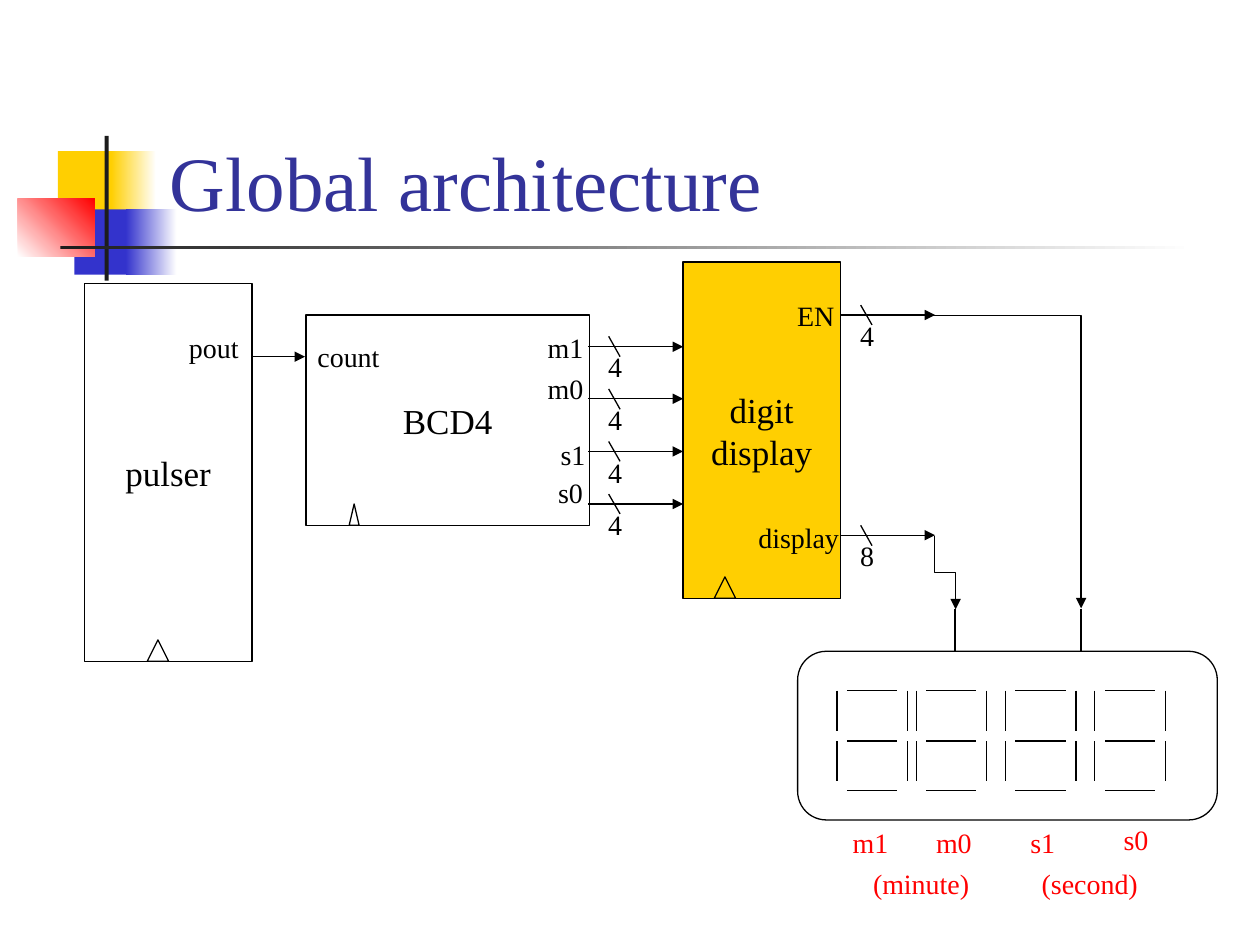
from lxml.etree import SubElement
from pptx import Presentation
from pptx.dml.color import RGBColor
from pptx.enum.shapes import MSO_CONNECTOR, MSO_SHAPE
from pptx.enum.text import MSO_ANCHOR, MSO_AUTO_SIZE, PP_ALIGN
from pptx.oxml.ns import qn
from pptx.util import Cm, Pt

BLACK = RGBColor(0x00, 0x00, 0x00)
WHITE = RGBColor(0xFF, 0xFF, 0xFF)
GOLD = RGBColor(0xFF, 0xCF, 0x01)
BLUE = RGBColor(0x33, 0x33, 0xCC)
NAVY = RGBColor(0x33, 0x33, 0x99)
RED = RGBColor(0xFF, 0x00, 0x00)
DARK = RGBColor(0x1C, 0x1C, 0x1C)
FONT = "Times New Roman"

# Content: places are in inches, turned into Cm by cm()
TITLE = "Global architecture"
DECOR = [  # box, first colour, last colour, angle
    ((0.46, 1.2, 0.48, 0.52), GOLD, None, 0),
    ((0.88, 1.2, 0.36, 0.52), GOLD, WHITE, 0),
    ((0.59, 1.66, 0.46, 0.52), BLUE, None, 0),
    ((1, 1.66, 0.4, 0.52), BLUE, WHITE, 0),
    ((0.14, 1.58, 0.61, 0.46), WHITE, RED, 45),
    ((0.83, 1.08, 0.03, 1.15), DARK, None, 0),
    ((0.48, 1.95, 9, 0.03), DARK, WHITE, 0),
]
BLOCKS = [  # name, box, fill, clock mark
    ("pulser", (0.67, 2.25, 1.33, 3), None, (1.17, 5.08, 0.17, 0.17)),
    ("BCD4", (2.43, 2.5, 2.25, 1.67), None, (2.77, 4, 0.08, 0.17)),
    ("digit\ndisplay", (5.42, 2.08, 1.25, 2.67), GOLD,
     (5.67, 4.58, 0.17, 0.17)),
]
PORTS = [  # name, left, top, width
    ("pout", 1.4, 2.57, 0.6), ("count", 2.42, 2.65, 0.7),
    ("m1", 4.25, 2.57, 0.49), ("m0", 4.25, 2.9, 0.49),
    ("s1", 4.35, 3.42, 0.4), ("s0", 4.33, 3.73, 0.4),
    ("EN", 6.23, 2.32, 0.5), ("display", 5.92, 4.08, 0.85),
]
NOTES = [
    ("s0", 8.82, 6.48, 0.4), ("s1", 8.08, 6.5, 0.4),
    ("m0", 7.33, 6.5, 0.49), ("m1", 6.67, 6.5, 0.49),
    ("(second)", 8.17, 6.83, 0.97), ("(minute)", 6.83, 6.83, 0.97),
]
BUSES = [("4", 6.67, 2.5), ("8", 6.67, 4.25)]  # bits, left, height
BUSES += [("4", 4.67, 2.75 + row * 5 / 12) for row in range(4)]
DIGITS = [6.64, 7.27, 7.98, 8.69]
BENDS = [  # box before the turn, bend
    ((7.21, 4.46, 0.58, 0.17), 50000),
    ((6.83, 3.08, 2.33, 1.17), 400),
]
FEEDS = [7.58, 8.58]


def cm(inch):
    return Cm(round(inch * 2.54, 2))


def style(text, size, hue, align):
    for para in text.paragraphs:
        para.alignment = align
        para.font.size = Pt(size)
        para.font.name = FONT
        para.font.color.rgb = hue


def shape(kind, box, fill=None, edge=True):
    item = slide.shapes.add_shape(kind, *map(cm, box))
    item.shadow.inherit = False
    if fill is None:
        item.fill.background()
    else:
        item.fill.solid()
        item.fill.fore_color.rgb = fill
    if edge:
        item.line.color.rgb = BLACK
        item.line.width = Pt(0.75)
    else:
        item.line.fill.background()
    return item


def label(name, left, top, width, hue=BLACK):
    box = slide.shapes.add_textbox(*map(cm, (left, top, width, 0.37)))
    text = box.text_frame
    text.word_wrap = False
    text.auto_size = MSO_AUTO_SIZE.SHAPE_TO_FIT_TEXT
    text.text = name
    style(text, 16, hue, PP_ALIGN.LEFT)


def wire(x1, y1, x2, y2, head=False, kind=MSO_CONNECTOR.STRAIGHT):
    item = slide.shapes.add_connector(kind, *map(cm, (x1, y1, x2, y2)))
    item.line.color.rgb = BLACK
    item.line.width = Pt(0.75)
    props = item._element.spPr
    if head:
        SubElement(props.find(qn("a:ln")), qn("a:tailEnd"), type="triangle")
    SubElement(props, qn("a:effectLst"))
    return item


deck = Presentation()
deck.slide_width, deck.slide_height = cm(10), cm(7.5)
slide = deck.slides.add_slide(deck.slide_layouts[5])

# Title
title = slide.shapes.title
title.left, title.top, title.width, title.height = map(
    cm, (1.25, 0.25, 8.52, 1.6))
text = title.text_frame
text.text = TITLE
text.word_wrap = True
text.auto_size = MSO_AUTO_SIZE.NONE
text.vertical_anchor = MSO_ANCHOR.BOTTOM
style(text, 44, NAVY, PP_ALIGN.LEFT)

# Corner squares and rules
for box, first, last, angle in DECOR:
    item = shape(MSO_SHAPE.RECTANGLE, box, first, edge=False)
    if last is not None:
        item.fill.gradient()
        item.fill.gradient_angle = angle
        for stop, hue, spot in zip(
                item.fill.gradient_stops, (first, last), (0, 1)):
            stop.color.rgb = hue
            stop.position = spot

# Blocks with clock marks
for name, box, fill, clock in BLOCKS:
    text = shape(MSO_SHAPE.RECTANGLE, box, fill).text_frame
    text.word_wrap = False
    text.vertical_anchor = MSO_ANCHOR.MIDDLE
    text.text = name
    style(text, 20, BLACK, PP_ALIGN.CENTER)
    shape(MSO_SHAPE.ISOSCELES_TRIANGLE, clock)
for port in PORTS:
    label(*port)

# Arrows, with a slash and bit count on each bus
wire(2, 2.83, 2.42, 2.83, head=True)
for bits, x, y in BUSES:
    wire(x, y, x + 0.75, y, head=True)
    wire(x + 0.16, y - 0.08, x + 0.25, y + 0.08)
    label(bits, x + 0.06, y - 0.02, 0.31)

# Seven-segment digits
for x in DIGITS:
    for y in (5.48, 5.88, 6.27):
        wire(x + 0.08, y, x + 0.48, y)
    for y in (5.48, 5.88):
        for side in (x, x + 0.56):
            wire(side, y, side, y + 0.32)

# Display panel and its feeds
panel = shape(MSO_SHAPE.ROUNDED_RECTANGLE, (6.33, 5.17, 3.33, 1.34))
panel.adjustments[0] = 0.17
for x in FEEDS:
    wire(x, 5.17, x, 4.83)
for (x, y, w, h), bend in BENDS:
    item = wire(x + w, y, x, y + h, head=True, kind=MSO_CONNECTOR.ELBOW)
    props = item._element.spPr
    props.find(qn("a:xfrm")).set("rot", str(270 * 60000))
    SubElement(props.find(qn("a:prstGeom")).find(qn("a:avLst")), qn("a:gd"),
               name="adj1", fmla=f"val {bend}")
for note in NOTES:
    label(*note, hue=RED)

deck.save("out.pptx")
